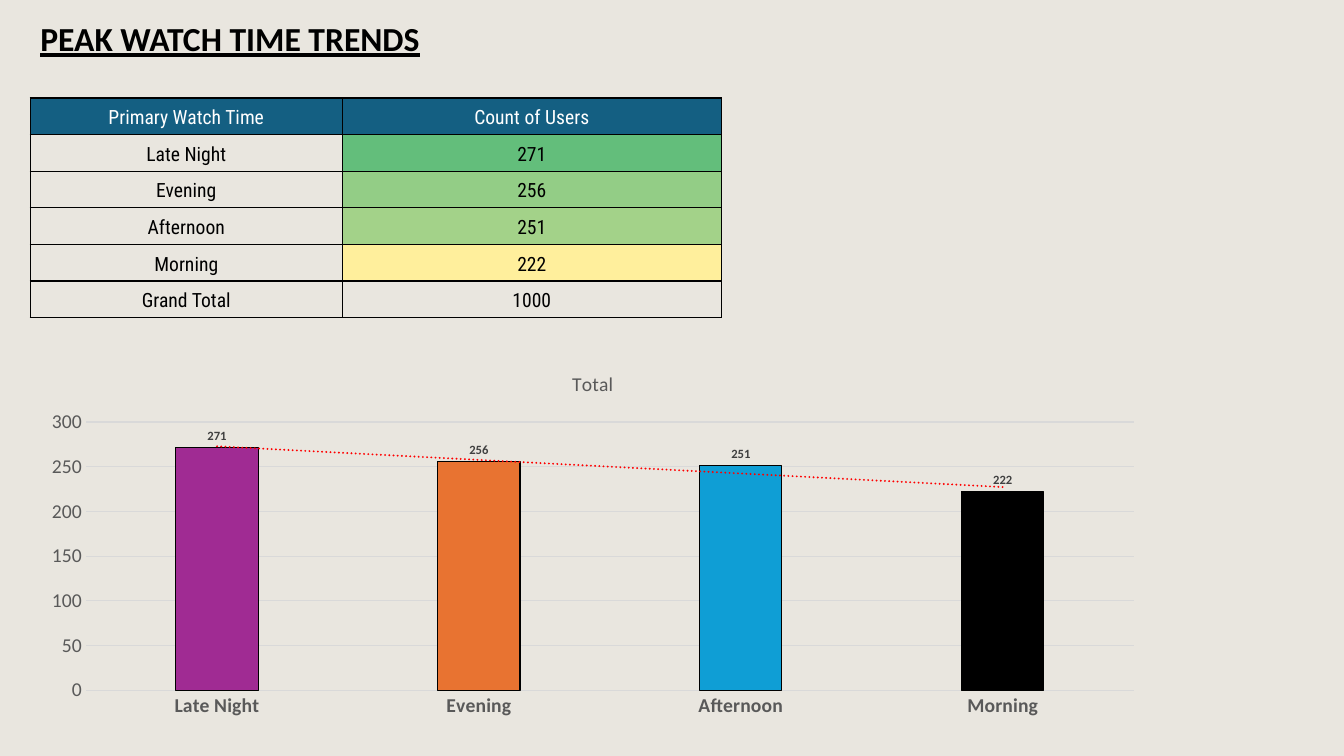
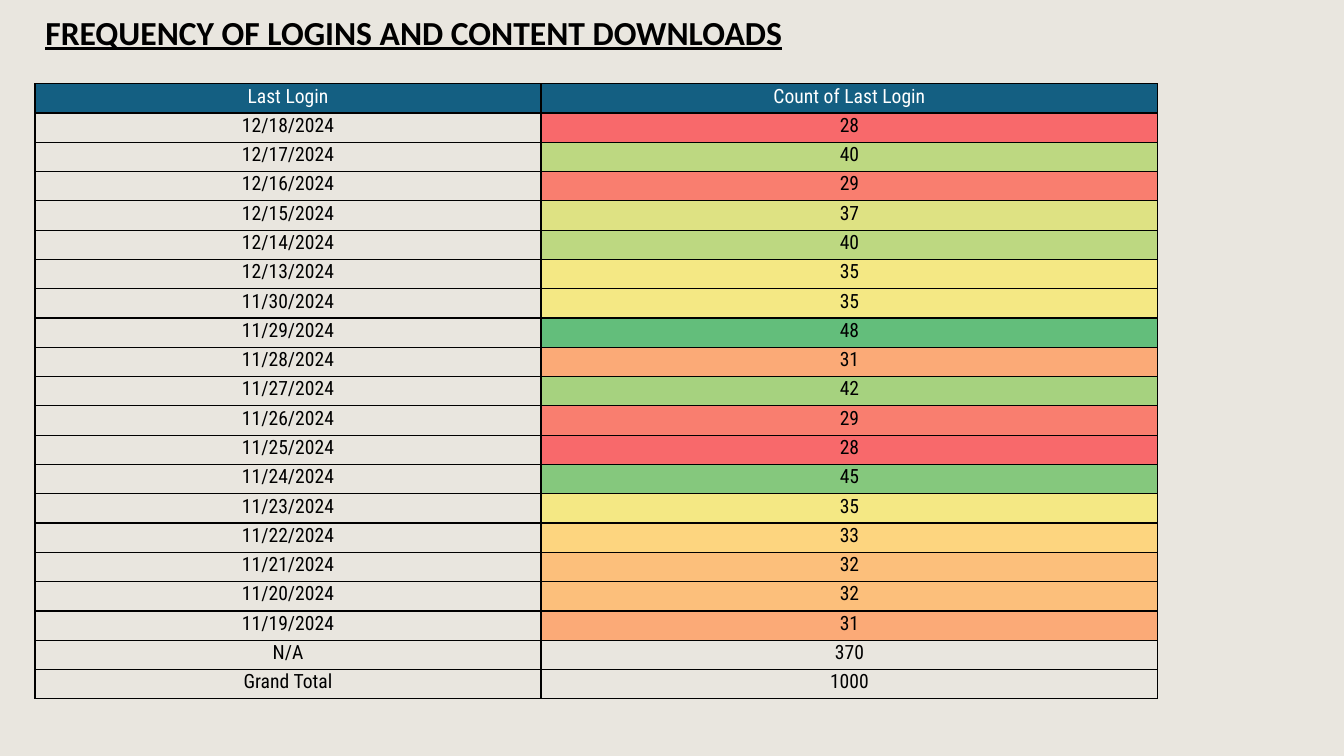
from lxml.etree import SubElement
from pptx import Presentation
from pptx.chart.data import CategoryChartData
from pptx.dml.color import RGBColor
from pptx.enum.chart import XL_CHART_TYPE, XL_LABEL_POSITION, XL_TICK_MARK
from pptx.enum.text import MSO_ANCHOR, MSO_AUTO_SIZE, PP_ALIGN
from pptx.oxml import parse_xml
from pptx.oxml.ns import nsdecls, qn
from pptx.util import Pt

COLORS = {
    "background": "E9E6DF", "black": "000000", "white": "FFFFFF",
    "header": "145F82", "axis": "595959", "grid": "D9D9D9",
    "label": "404040", "trend": "FF0000",
    "late_night": "A02B93", "evening": "E87331", "afternoon": "0F9ED5",
}
# Cell colour for each count; counts not listed stay unfilled
WATCH_SCALE = {271: "63BE7B", 256: "93CD86", 251: "A3D289", 222: "FFEF9C"}
LOGIN_SCALE = {
    28: "F8696B", 29: "F97E6F", 31: "FBAA77", 32: "FCBF7B", 33: "FDD57F",
    35: "F4E884", 37: "DEE283", 40: "BDD881", 42: "A6D27F", 45: "85C87D",
    48: "63BE7B",
}
TITLE_FONT, TABLE_FONT = "Calibri", "Roboto Condensed"


def add_titled_slide(title_text, left, top, width, height):
    slide = presentation.slides.add_slide(presentation.slide_layouts[5])
    title = slide.shapes.title
    title.left, title.top = Pt(left), Pt(top)
    title.width, title.height = Pt(width), Pt(height)
    frame = title.text_frame
    frame.text = title_text
    frame.word_wrap = True
    frame.auto_size = MSO_AUTO_SIZE.NONE
    frame.vertical_anchor = MSO_ANCHOR.MIDDLE
    paragraph = frame.paragraphs[0]
    paragraph.alignment = PP_ALIGN.LEFT
    paragraph.line_spacing = 0.9
    font = paragraph.runs[0].font
    font.name, font.size = TITLE_FONT, Pt(24)
    font.bold = font.underline = True
    font.color.rgb = RGBColor.from_string(COLORS["black"])
    return slide


def add_count_table(slide, rows, scale, left, top, column_widths, row_height):
    table = slide.shapes.add_table(
        len(rows), 2, Pt(left), Pt(top),
        Pt(sum(column_widths)), Pt(row_height * len(rows))).table
    table.first_row = table.horz_banding = False
    for column, width in zip(table.columns, column_widths):
        column.width = Pt(width)
    for row_index, values in enumerate(rows):
        table.rows[row_index].height = Pt(row_height)
        for column_index, value in enumerate(values):
            cell = table.cell(row_index, column_index)
            cell.text = str(value)
            cell.vertical_anchor = MSO_ANCHOR.BOTTOM
            cell.margin_left = cell.margin_top = cell.margin_right = Pt(0.75)
            cell.margin_bottom = Pt(3.6)
            # Thin black border on every side
            properties = cell._tc.get_or_add_tcPr()
            for side in ("lnL", "lnR", "lnT", "lnB"):
                line = SubElement(properties, qn(f"a:{side}"), w=str(Pt(1)))
                fill = SubElement(line, qn("a:solidFill"))
                SubElement(fill, qn("a:srgbClr"), val=COLORS["black"])
            # Header, scaled count or plain cell
            is_header = row_index == 0
            cell_color = COLORS["header"] if is_header else scale.get(value)
            if cell_color:
                cell.fill.solid()
                cell.fill.fore_color.rgb = RGBColor.from_string(cell_color)
            else:
                cell.fill.background()
            paragraph = cell.text_frame.paragraphs[0]
            paragraph.alignment = PP_ALIGN.CENTER
            font = paragraph.runs[0].font
            font.name, font.size, font.bold = TABLE_FONT, Pt(14), False
            font.color.rgb = RGBColor.from_string(
                COLORS["white" if is_header else "black"])


presentation = Presentation()
presentation.slide_width, presentation.slide_height = Pt(960), Pt(540)
background = presentation.slide_master.background.fill
background.solid()
background.fore_color.rgb = RGBColor.from_string(COLORS["background"])

# Slide 1: watch time table
watch_times = [("Late Night", 271), ("Evening", 256),
               ("Afternoon", 251), ("Morning", 222)]
slide = add_titled_slide("PEAK WATCH TIME TRENDS", 21.6, 7.9, 321, 42.5)
watch_rows = [("Primary Watch Time", "Count of Users"), *watch_times,
              ("Grand Total", 1000)]
add_count_table(slide, watch_rows, WATCH_SCALE, 21.6, 70, (223, 270.6), 26.15)

# Slide 1: column chart
chart_data = CategoryChartData()
chart_data.categories = [name for name, count in watch_times]
chart_data.add_series("Total", [count for name, count in watch_times])
chart = slide.shapes.add_chart(
    XL_CHART_TYPE.COLUMN_CLUSTERED, Pt(20.9), Pt(252.7), Pt(805), Pt(265.7),
    chart_data).chart
chart.has_legend = False
chart.font.name, chart.font.size = TITLE_FONT, Pt(10)
chart.font.color.rgb = RGBColor.from_string(COLORS["black"])
chart.has_title = True
chart.chart_title.include_in_layout = False
chart.chart_title.text_frame.text = "Total"
title_font = chart.chart_title.text_frame.paragraphs[0].runs[0].font
title_font.bold = False

# Axes
category_axis, value_axis = chart.category_axis, chart.value_axis
for axis in (category_axis, value_axis):
    axis.major_tick_mark = axis.minor_tick_mark = XL_TICK_MARK.NONE
for font in (title_font, category_axis.tick_labels.font,
             value_axis.tick_labels.font):
    font.name, font.size = TITLE_FONT, Pt(14)
    font.color.rgb = RGBColor.from_string(COLORS["axis"])
category_axis.tick_labels.font.bold = True
value_axis.tick_labels.font.bold = False
value_axis.minimum_scale, value_axis.maximum_scale = 0, 300
value_axis.major_unit = 50
value_axis.format.line.fill.background()
for line in (category_axis.format.line, value_axis.major_gridlines.format.line):
    line.color.rgb = RGBColor.from_string(COLORS["grid"])
    line.width = Pt(0.75)

# Columns and their labels
plot = chart.plots[0]
plot.gap_width, plot.overlap = 219, -27
plot.vary_by_categories = False
series = plot.series[0]
series.invert_if_negative = False
column_colors = ("late_night", "evening", "afternoon", "black")
for index, color_name in enumerate(column_colors):
    column_format = series.points[index].format
    column_format.fill.solid()
    column_format.fill.fore_color.rgb = RGBColor.from_string(COLORS[color_name])
    column_format.line.color.rgb = RGBColor.from_string(COLORS["black"])
    column_format.line.width = Pt(0.75)
labels = series.data_labels
labels.show_value = True
labels.position = XL_LABEL_POSITION.OUTSIDE_END
labels.font.name, labels.font.size, labels.font.bold = TITLE_FONT, Pt(9), True
labels.font.color.rgb = RGBColor.from_string(COLORS["label"])

# Linear trend line
trend_line = parse_xml(
    f'<c:trendline {nsdecls("c", "a")}><c:spPr><a:ln w="{Pt(1.5)}" cap="rnd">'
    f'<a:solidFill><a:srgbClr val="{COLORS["trend"]}"/></a:solidFill>'
    '<a:prstDash val="sysDot"/></a:ln></c:spPr>'
    '<c:trendlineType val="linear"/><c:dispRSqr val="0"/><c:dispEq val="0"/>'
    '</c:trendline>')
series._element.find(qn("c:cat")).addprevious(trend_line)

# Slide 2: login table
slide = add_titled_slide("FREQUENCY OF LOGINS AND CONTENT DOWNLOADS",
                         25.2, 7.9, 634, 33)
login_rows = [
    ("Last Login", "Count of Last Login"),
    ("12/18/2024", 28), ("12/17/2024", 40), ("12/16/2024", 29),
    ("12/15/2024", 37), ("12/14/2024", 40), ("12/13/2024", 35),
    ("11/30/2024", 35), ("11/29/2024", 48), ("11/28/2024", 31),
    ("11/27/2024", 42), ("11/26/2024", 29), ("11/25/2024", 28),
    ("11/24/2024", 45), ("11/23/2024", 35), ("11/22/2024", 33),
    ("11/21/2024", 32), ("11/20/2024", 32), ("11/19/2024", 31),
    ("N/A", 370), ("Grand Total", 1000),
]
add_count_table(slide, login_rows, LOGIN_SCALE, 25, 59.8, (361.5, 440.6), 20.9)

presentation.save("out.pptx")
